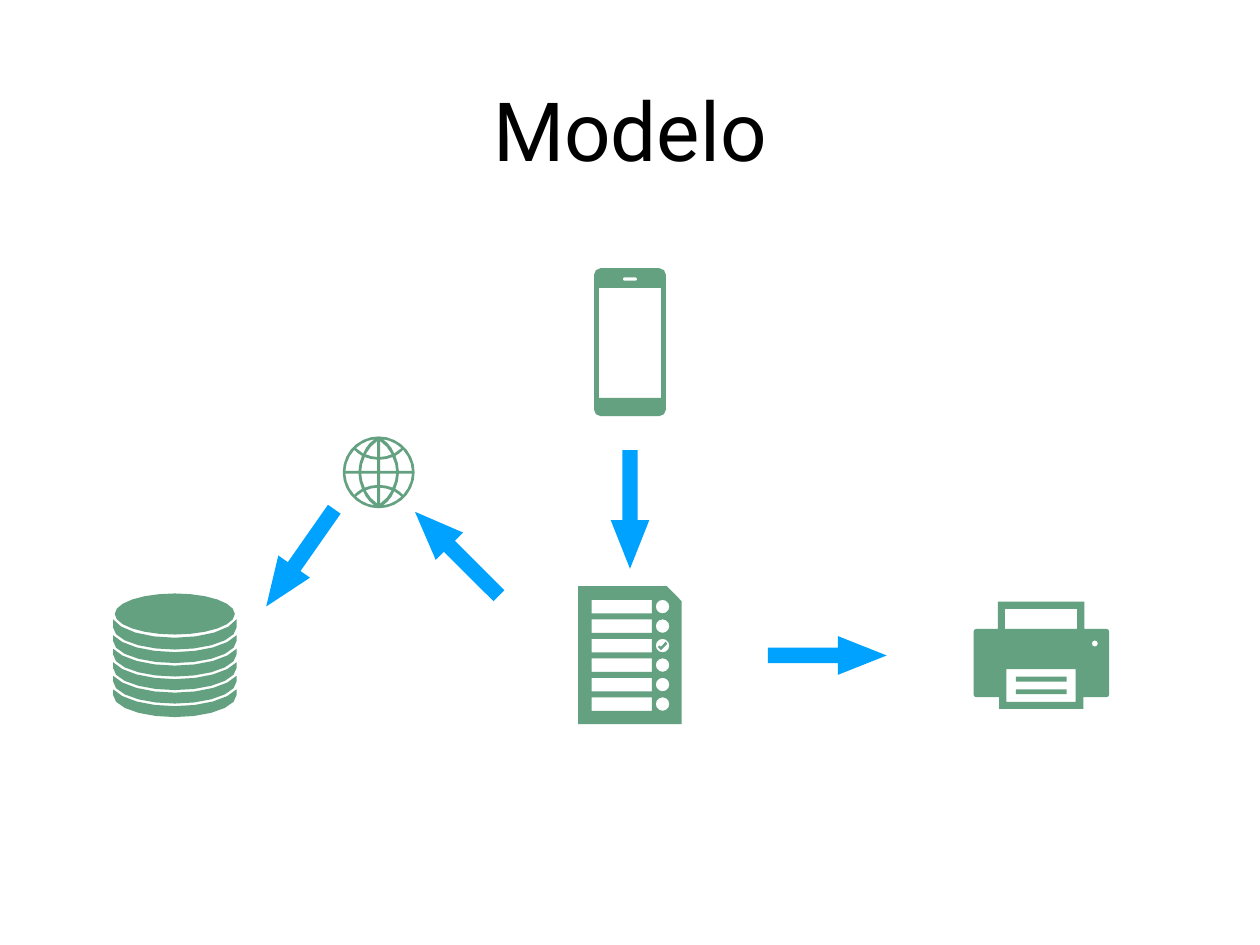
from dataclasses import dataclass
from itertools import product
from math import cos, hypot, radians, sin

from lxml.etree import SubElement
from pptx import Presentation
from pptx.dml.color import RGBColor
from pptx.enum.shapes import MSO_SHAPE as Preset
from pptx.enum.text import MSO_ANCHOR as Anchor, PP_ALIGN as Align
from pptx.oxml.ns import qn
from pptx.util import Pt


@dataclass(frozen=True)
class Theme:
    icon: RGBColor = RGBColor(0x3D, 0x8A, 0x62)
    icon_alpha: int = 80000
    arrow: RGBColor = RGBColor(0x00, 0xA2, 0xFF)
    text: RGBColor = RGBColor(0, 0, 0)
    font: str = "Roboto"
    title_size: float = 66.4


THEME = Theme()


def apply(target, values):
    for name, value in values.items():
        setattr(target, name, value)


def paint(shape, color):
    shape.shadow.inherit = False
    shape.fill.solid()
    shape.fill.fore_color.rgb = color
    shape.line.fill.background()


def arc(x, y, rx, ry, start, end, steps):
    angles = [radians(start + (end - start) * i / steps) for i in range(steps + 1)]
    return [(x + rx * cos(a), y + ry * sin(a)) for a in angles]


def ellipse(x, y, rx, ry, steps):
    return arc(x, y, rx, ry, 0, 360, steps)[:-1]


def rectangle(left, top, right, bottom):
    return [(left, top), (right, top), (right, bottom), (left, bottom)]


def rounded_corners(left, top, right, bottom, radius):
    centers = rectangle(left + radius, top + radius, right - radius, bottom - radius)
    return [arc(x, y, radius, radius, 180 + 90 * i, 270 + 90 * i, 2)
            for i, (x, y) in enumerate(centers)]


def rounded(left, top, right, bottom, radius):
    return sum(rounded_corners(left, top, right, bottom, radius), [])


def bowed(nodes):
    points = []
    for (x, y, bulge), (next_x, next_y, _) in zip(nodes, nodes[1:] + nodes[:1]):
        dx, dy = next_x - x, next_y - y
        steps = 1 if not bulge else 3 if abs(bulge) > 1 else 2
        for t in (i / steps for i in range(steps)):
            shift = 4 * bulge * t * (1 - t) / hypot(dx, dy)
            points.append((x + dx * t + dy * shift, y + dy * t - dx * shift))
    return points


def add_title(page, text):
    box = page.shapes.add_textbox(Pt(75), Pt(20), Pt(874), Pt(170))
    frame = box.text_frame
    apply(frame, {"word_wrap": True, "vertical_anchor": Anchor.MIDDLE,
                  "margin_left": Pt(4), "margin_right": Pt(4),
                  "margin_top": Pt(4), "margin_bottom": Pt(4)})
    para = frame.paragraphs[0]
    para.alignment = Align.CENTER
    span = para.add_run()
    span.text = text
    apply(span.font, {"name": THEME.font, "size": Pt(THEME.title_size)})
    span.font.color.rgb = THEME.text


def add_icon(page, contours):
    outlines = [[(Pt(x), Pt(y)) for x, y in contour] for contour in contours]
    builder = page.shapes.build_freeform(*outlines[0][0])
    builder.add_line_segments(outlines[0][1:], close=True)
    for outline in outlines[1:]:
        builder.move_to(*outline[0])
        builder.add_line_segments(outline[1:], close=True)
    icon = builder.convert_to_shape()
    paint(icon, THEME.icon)
    tint = next(icon.element.spPr.iter(qn("a:srgbClr")))
    SubElement(tint, qn("a:alpha")).set("val", str(THEME.icon_alpha))


def add_arrow(page, x, y, angle):
    length, breadth = 96.5, 31.4
    arrow = page.shapes.add_shape(
        Preset.RIGHT_ARROW, Pt(x - length / 2), Pt(y - breadth / 2), Pt(length), Pt(breadth))
    arrow.adjustments[0], arrow.adjustments[1] = 0.4, 1.26
    arrow.rotation = angle
    paint(arrow, THEME.arrow)


def phone():
    return [rounded(482.8, 218, 541.2, 338.2, 5.3),
            rounded(506.2, 225.4, 517.8, 228.2, 1.4),
            rectangle(486.7, 234, 537.3, 323.3)]


def printer():
    top, bottom = 511.2, 566.6
    top_left, top_right, low_right, low_left = rounded_corners(791.3, top, 901.4, bottom, 2)
    feeder = [(811, top), (811, 488.9), (881.4, 488.9), (881.4, top)]
    tray = [(880.4, bottom), (880.4, 576.2), (812, 576.2), (812, bottom)]
    lines = [rectangle(825.7, y, 866.9, y + 4) for y in (550, 560.2)]
    return [top_left + feeder + top_right + low_right + tray + low_left,
            rectangle(816.7, 494.8, 875.5, top),
            ellipse(889.8, 523, 2.5, 2.5, 8),
            rectangle(818, 543.8, 874.3, 570.4), *lines]


def form():
    contours = [[(469.8, 476.4), (542, 476.4), (554, 488.6), (554, 588.4), (469.8, 588.4)]]
    for row in range(6):
        top = 487.6 + 15.84 * row
        contours += [rectangle(480.8, top, 529.9, top + 10.9),
                     ellipse(538.5, top + 5.4, 5.5, 5.5, 12)]
    x, y = 538.5, 524.7
    tick = [(2.6, -3.2), (-1.3, 0.9), (-2.9, -0.2), (-3.7, 1.3),
            (-1.3, 3.6), (3.8, -1.4)]
    return contours + [[(x + dx, y + dy) for dx, dy in tick]]


def database():
    x, half, step = 142.1, 50.2, 10.98
    contours = [ellipse(x, 499, 48.8, 16.7, 24)]
    for layer in range(6):
        upper = 498.9 + step * layer
        angle, depth = (18.5, 20.1) if layer else (13, 19.4)
        rim = arc(x, upper, half / cos(radians(angle)), depth, angle, 180 - angle, 8)
        contours.append(arc(x, upper + step, half, 18, 0, 180, 10) + rim[::-1])
    return contours


def globe():
    x, y = 307.8, 383.9
    cells = [
        [(3.4, -26.9, 1.3), (18.5, -19.7, 0), (12.6, -15.3, -1.2)],
        [(1.2, -25.4, 0.9), (10.6, -14.7, 0.5), (1.2, -12.5, 0)],
        [(19.9, -18.3, 1.6), (27.1, -1.1, 0), (16.4, -1.1, -0.6), (13.6, -13.4, -0.3)],
        [(1.2, -10.3, -0.5), (11.3, -12.4, 0.6), (14.2, -1.1, 0), (1.2, -1.1, 0)],
    ]
    windows = [[(x + side * dx, y + level * dy) for dx, dy in bowed(cell)]
               for cell, side, level in product(cells, (1, -1), (1, -1))]
    return [ellipse(x, y, 29.2, 29.2, 28), *windows]


def main():
    deck = Presentation()
    apply(deck, {"slide_width": Pt(1024), "slide_height": Pt(768)})
    page = deck.slides.add_slide(deck.slide_layouts[6])
    add_title(page, "Modelo")
    for icon in (phone, printer, form, database, globe):
        add_icon(page, icon())
    for x, y, angle in ((512, 414, 90), (672.4, 532.7, 0),
                        (371.3, 450, 225), (244, 453.4, 125)):
        add_arrow(page, x, y, angle)
    deck.save("out.pptx")


if __name__ == "__main__":
    main()
